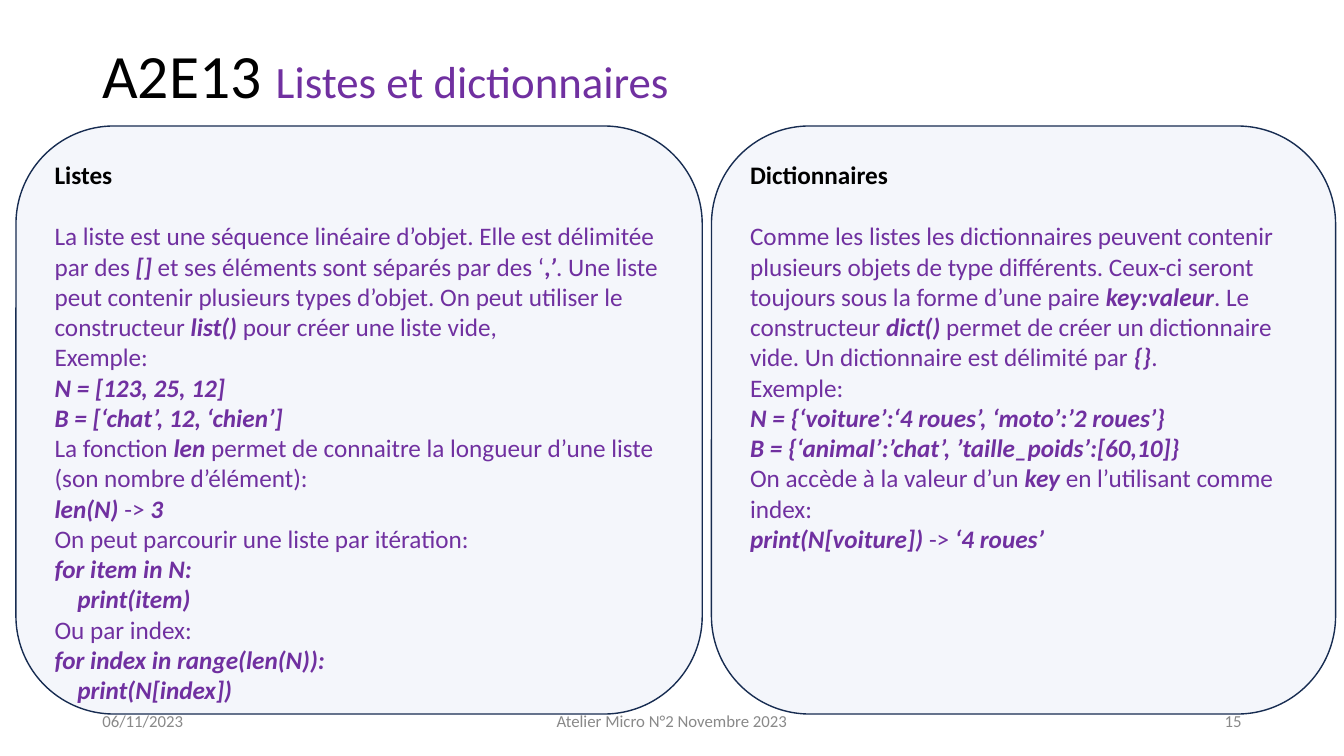
"""Build the slide on Python lists and dictionaries."""
from lxml import etree
from pptx import Presentation
from pptx import util as u
from pptx.dml.color import RGBColor
from pptx.enum import shapes, text
from pptx.oxml.ns import qn

COLS, ROWS = 160, 90
CELL = u.Inches(1 / 12)
FONT = "Calibri"
BLACK, PURPLE, GREY = "000000", "7030A0", "898989"
BLUE, NAVY = "4472C4", "172C51"
CARD_TOP, CARD_ROWS = 15, 70
FOOT_TOP, FOOT_ROWS = 83.4, 4.8

LISTS = [
    "La liste est une séquence linéaire d’objet. Elle est délimitée par des *[]* et ses éléments "
    "sont séparés par des ‘*,’*. Une liste peut contenir plusieurs types d’objet. "
    "On peut utiliser le constructeur *list()* pour créer une liste vide,",
    "Exemple:",
    "*N = [123, 25, 12]*",
    "*B = [‘chat’, 12, ‘chien’]*",
    "La fonction *len* permet de connaitre la longueur d’une liste (son nombre d’élément):",
    "*len(N) *-> *3*",
    "On peut parcourir une liste par itération:",
    "*for item in N:*",
    "*    print(item)*",
    "Ou par index:",
    "*for index in range(len(N)):*",
    "*    print(N[index])*",
]
DICTIONARIES = [
    "Comme les listes les dictionnaires peuvent contenir plusieurs objets de type différents. "
    "Ceux-ci seront toujours sous la forme d’une paire *key:valeur*. Le constructeur *dict()* "
    "permet de créer un dictionnaire vide. Un dictionnaire est délimité par *{}*.",
    "Exemple:",
    "*N = {‘voiture’:‘4 roues’, ‘moto’:’2 roues’}*",
    "*B = {‘animal’:’chat’, ’taille_poids’:[60,10]}*",
    "On accède à la valeur d’un *key* en l’utilisant comme index:",
    "*print(N[voiture]) *-> *‘4 roues’*",
]


def rgb(code):
    """Turn a hex string into a colour."""
    return RGBColor.from_string(code)


def grid(*cells):
    """Turn grid cells into slide lengths."""
    return [int(n * CELL) for n in cells]


def style(font, size, color):
    """Set the face, size and colour of a font."""
    font.name, font.size = FONT, u.Pt(size)
    font.color.rgb = rgb(color)


def add_marked(p, line):
    """Add runs to a paragraph, with the parts between asterisks in bold italic."""
    for i, part in enumerate(line.split("*")):
        if part:
            r = p.add_run()
            r.text = part
            if i % 2:
                r.font.bold = r.font.italic = True


def add_card(s, left, width, heading, lines):
    """Add a pale rounded card with a heading and its explanation."""
    sp = s.shapes.add_shape(shapes.MSO_SHAPE.ROUNDED_RECTANGLE,
                            *grid(left, CARD_TOP, width, CARD_ROWS))
    sp.shadow.inherit = False
    sp.fill.solid()
    sp.fill.fore_color.rgb = rgb(BLUE)
    tint = sp.fill._xPr.find(qn("a:solidFill"))[0]
    etree.SubElement(tint, qn("a:alpha")).set("val", "6000")
    sp.line.color.rgb = rgb(NAVY)
    sp.line.width = u.Pt(1)
    tf = sp.text_frame
    tf.word_wrap = True
    tf.vertical_anchor = text.MSO_ANCHOR.TOP
    p = tf.paragraphs[0]
    p.text = heading
    p.alignment = text.PP_ALIGN.LEFT
    p.space_after = u.Pt(22)
    style(p.font, 18, BLACK)
    p.font.bold = True
    for line in lines:
        p = tf.add_paragraph()
        p.alignment = text.PP_ALIGN.LEFT
        add_marked(p, line)
        style(p.font, 18, PURPLE)


def add_box(s, left, top, width, height):
    """Add a wrapping text box and return its text frame."""
    tf = s.shapes.add_textbox(*grid(left, top, width, height)).text_frame
    tf.word_wrap = True
    return tf


def add_title(s, code, topic):
    """Add the title, with the topic smaller and coloured."""
    p = add_box(s, 11, 4.8, 138, 8.3).paragraphs[0]
    p.line_spacing = 0.9
    for words, size, color in ((code, 44, BLACK), (topic, 32, PURPLE)):
        r = p.add_run()
        r.text = words
        style(r.font, size, color)


def add_footer(s, left, width, words, align):
    """Add one part of the footer."""
    tf = add_box(s, left, FOOT_TOP, width, FOOT_ROWS)
    tf.vertical_anchor = text.MSO_ANCHOR.MIDDLE
    p = tf.paragraphs[0]
    p.text = words
    p.alignment = align
    style(p.font, 12, GREY)


def main():
    """Build and save the slide."""
    prs = Presentation()
    prs.slide_width, prs.slide_height = grid(COLS, ROWS)
    s = prs.slides.add_slide(prs.slide_layouts[6])
    add_card(s, 1.9, 81.7, "Listes", LISTS)
    add_title(s, "A2E13 ", "Listes et dictionnaires")
    add_card(s, 84.7, 74.3, "Dictionnaires", DICTIONARIES)
    add_footer(s, 113, 36, "15", text.PP_ALIGN.RIGHT)
    add_footer(s, 11, 36, "06/11/2023", text.PP_ALIGN.LEFT)
    add_footer(s, 53, 54, "Atelier Micro N°2 Novembre 2023", text.PP_ALIGN.CENTER)
    prs.save("out.pptx")


if __name__ == "__main__":
    main()
